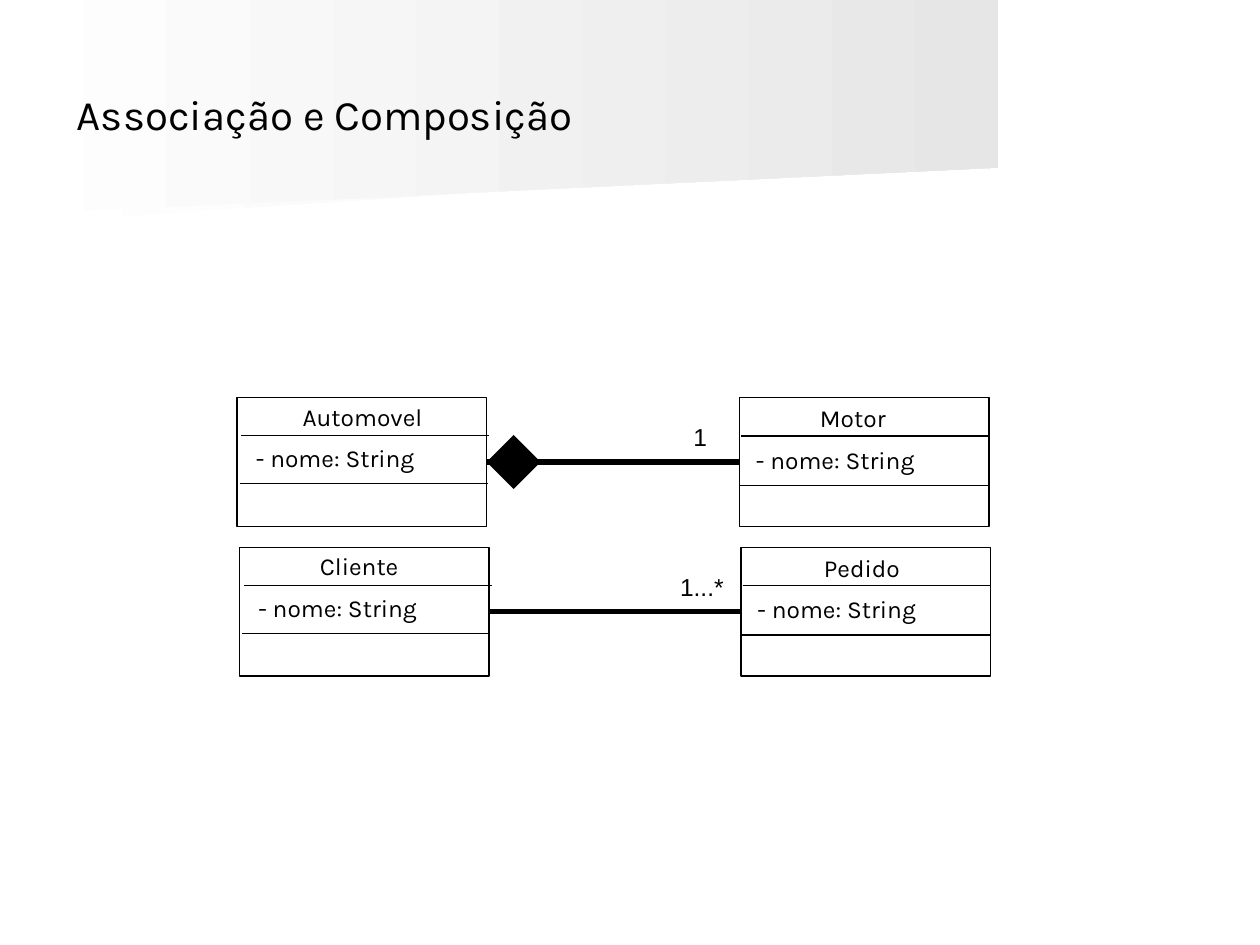
from dataclasses import dataclass

from lxml import etree
from pptx import Presentation
from pptx.dml.color import RGBColor
from pptx.enum.shapes import MSO_CONNECTOR, MSO_SHAPE
from pptx.enum.text import MSO_ANCHOR, MSO_AUTO_SIZE, PP_ALIGN
from pptx.oxml.ns import qn
from pptx.shapes.autoshape import Shape
from pptx.shapes.connector import Connector
from pptx.slide import Slide
from pptx.util import Cm, Pt

STRAIGHT = MSO_CONNECTOR.STRAIGHT
RECTANGLE, DIAMOND = MSO_SHAPE.RECTANGLE, MSO_SHAPE.DIAMOND
MIDDLE = MSO_ANCHOR.MIDDLE
FIT_TEXT, NO_FIT = MSO_AUTO_SIZE.SHAPE_TO_FIT_TEXT, MSO_AUTO_SIZE.NONE
LEFT, CENTER = PP_ALIGN.LEFT, PP_ALIGN.CENTER
LEFT_SIDE, RIGHT_SIDE = 1, 3


@dataclass(frozen=True)
class Theme:
    ink: RGBColor = RGBColor(0, 0, 0)
    band_start: RGBColor = RGBColor(0xFF, 0xFF, 0xFF)
    band_back: RGBColor = RGBColor(0xF0, 0xF0, 0xF0)
    band_front: RGBColor = RGBColor(0xE6, 0xE6, 0xE6)
    font: str = "Karla"
    multiplicity_font: str = "Arial"
    title_size: Pt = Pt(24)
    body_size: Pt = Pt(14)
    thin: Pt = Pt(0.75)
    thick: Pt = Pt(3)


@dataclass(frozen=True)
class Layout:
    """Offsets in cm from the top left corner of a class box."""
    dividers: tuple[tuple[float, float], ...]
    name_top: float
    attribute: tuple[float, float]


@dataclass(frozen=True)
class UmlClass:
    name: str
    left: float
    top: float
    name_left: float
    name_width: float
    layout: Layout


@dataclass(frozen=True)
class Association:
    source: UmlClass
    target: UmlClass
    multiplicity: str
    label_left: float
    label_top: float
    label_width: float
    composition: bool = False


THEME = Theme()
BOX_WIDTH, BOX_HEIGHT = 5.03, 2.59
ROW_TOPS = (8.02, 11.04)
LABEL_HEIGHT = 0.86
ATTRIBUTE_WIDTH = 3.78
DIAMOND_SIZE = 1.09

SOURCE_SIDE = Layout(((0.08, 0.76), (0.05, 1.73)), -0.05, (0.13, 0.79))
TARGET_SIDE = Layout(((0.03, 0.77), (0.01, 1.76)), -0.02, (0.08, 0.82))

CAR = UmlClass("Automovel", 4.78, ROW_TOPS[0], 1.07, 3.02, SOURCE_SIDE)
ENGINE = UmlClass("Motor", 14.91, ROW_TOPS[0], 1.37, 1.93, TARGET_SIDE)
CLIENT = UmlClass("Cliente", 4.83, ROW_TOPS[1], 1.37, 2.11, SOURCE_SIDE)
ORDER = UmlClass("Pedido", 14.94, ROW_TOPS[1], 1.42, 2.11, TARGET_SIDE)

ASSOCIATIONS = [
    Association(CAR, ENGINE, "1", 13.72, 8.38, 0.79, composition=True),
    Association(CLIENT, ORDER, "1...*", 13.35, 11.4, 1.6),
]


def add_band(slide: Slide, corners: list[tuple[float, float]], end: RGBColor) -> None:
    points = [(Cm(x), Cm(y)) for x, y in corners]
    builder = slide.shapes.build_freeform(*points[0])
    builder.add_line_segments(points[1:], close=True)
    band = builder.convert_to_shape()
    band.shadow.inherit = False
    band.line.fill.background()
    band.fill.gradient()
    band.fill.gradient_angle = 0
    for stop, color, position in zip(band.fill.gradient_stops, (THEME.band_start, end), (0, 1)):
        stop.color.rgb = color
        stop.position = position


def add_text(slide: Slide, text: str, left: float, top: float, width: float,
             height: float = LABEL_HEIGHT, font: str = THEME.font,
             size: Pt = THEME.body_size, align: PP_ALIGN = LEFT,
             wrap: bool = False) -> None:
    frame = slide.shapes.add_textbox(Cm(left), Cm(top), Cm(width), Cm(height)).text_frame
    frame.word_wrap = wrap
    frame.auto_size = NO_FIT if wrap else FIT_TEXT
    if wrap:
        frame.vertical_anchor = MIDDLE
    paragraph = frame.paragraphs[0]
    paragraph.text = text
    paragraph.alignment = align
    paragraph.font.name = font
    paragraph.font.size = size
    paragraph.font.color.rgb = THEME.ink


def add_line(slide: Slide, left: float, top: float, right: float, bottom: float,
             weight: Pt) -> Connector:
    line = slide.shapes.add_connector(STRAIGHT, Cm(left), Cm(top), Cm(right), Cm(bottom))
    line.line.color.rgb = THEME.ink
    line.line.width = weight
    etree.SubElement(line._element.spPr, qn("a:effectLst"))
    return line


def add_class(slide: Slide, uml: UmlClass) -> Shape:
    box = slide.shapes.add_shape(RECTANGLE, Cm(uml.left), Cm(uml.top),
                                 Cm(BOX_WIDTH), Cm(BOX_HEIGHT))
    box.shadow.inherit = False
    box.fill.background()
    box.line.color.rgb = THEME.ink
    box.line.width = THEME.thin
    for dx, dy in uml.layout.dividers:
        left, top = uml.left + dx, uml.top + dy
        add_line(slide, left, top, left + BOX_WIDTH - 0.03, top, THEME.thin)
    dx, dy = uml.layout.attribute
    add_text(slide, "- nome: String", uml.left + dx, uml.top + dy, ATTRIBUTE_WIDTH)
    add_text(slide, uml.name, uml.left + uml.name_left,
             uml.top + uml.layout.name_top, uml.name_width)
    return box


def add_association(slide: Slide, link: Association) -> None:
    source_box = add_class(slide, link.source)
    target_box = add_class(slide, link.target)
    start = link.source.left + BOX_WIDTH
    middle = link.source.top + BOX_HEIGHT / 2
    line = add_line(slide, start, middle, link.target.left, middle, THEME.thick)
    line.begin_connect(source_box, RIGHT_SIDE)
    line.end_connect(target_box, LEFT_SIDE)
    if link.composition:
        diamond = slide.shapes.add_shape(DIAMOND, Cm(start), Cm(middle - DIAMOND_SIZE / 2),
                                         Cm(DIAMOND_SIZE), Cm(DIAMOND_SIZE))
        diamond.shadow.inherit = False
        diamond.fill.solid()
        diamond.fill.fore_color.rgb = THEME.ink
        diamond.line.fill.background()
    add_text(slide, link.multiplicity, link.label_left, link.label_top, link.label_width,
             font=THEME.multiplicity_font, align=CENTER)


def main() -> None:
    presentation = Presentation()
    presentation.slide_width, presentation.slide_height = Cm(25.4), Cm(19.05)
    slide = presentation.slides.add_slide(presentation.slide_layouts[6])

    # Slanted header bands
    add_band(slide, [(19.76, 3.2), (0, 4.52), (0, 2.11), (19.79, 2.11)], THEME.band_back)
    add_band(slide, [(20.12, 3.38), (0, 4.34), (0, 0), (20.12, 0)], THEME.band_front)

    # Title
    add_text(slide, "Associação e Composição", 1.3, 0.71, 22.86, 3.18,
             size=THEME.title_size, wrap=True)

    # Class diagram
    for link in ASSOCIATIONS:
        add_association(slide, link)

    presentation.save("out.pptx")


if __name__ == "__main__":
    main()
